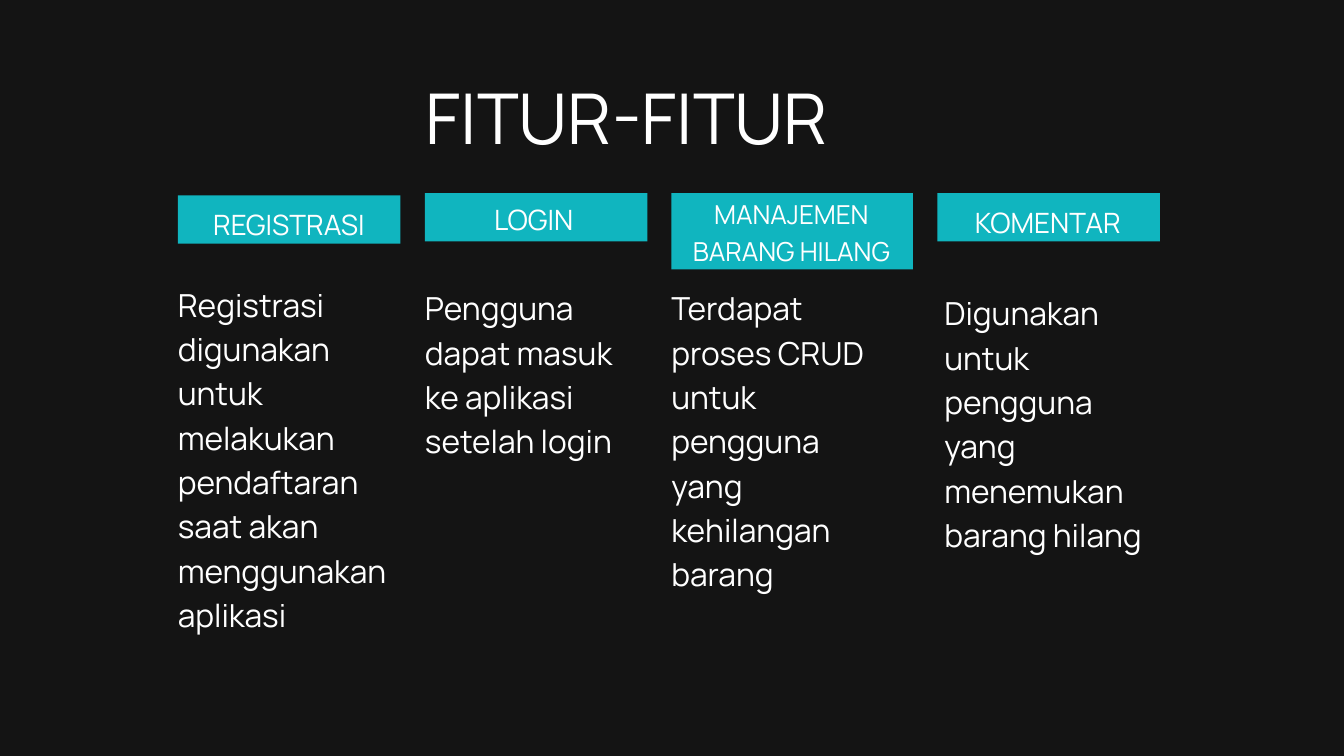
from dataclasses import dataclass

import pptx
import pptx.dml.color
import pptx.enum.shapes
import pptx.enum.text
import pptx.util

ALIGN = pptx.enum.text.PP_ALIGN


@dataclass(frozen=True)
class Theme:
    font: str = "Manrope"
    background: str = "141414"
    accent: str = "10B5BF"
    text: str = "FFFFFF"
    title: tuple = (75, 90)
    label: tuple = (30, 42)
    small_label: tuple = (28, 39.2)
    body: tuple = (34, 47.5)


def rgb(value):
    return pptx.dml.color.RGBColor.from_string(value)


class Deck:
    EMU_PER_PX = 9525

    def __init__(self, theme):
        self.theme = theme
        self.prs = pptx.Presentation()
        self.prs.slide_width, self.prs.slide_height = self.px(1920, 1080)

    def px(self, *lengths):
        return [pptx.util.Emu(n * self.EMU_PER_PX) for n in lengths]

    def slide(self):
        self.s = self.prs.slides.add_slide(self.prs.slide_layouts[6])
        fill = self.s.background.fill
        fill.solid()
        fill.fore_color.rgb = rgb(self.theme.background)

    def bar(self, box):
        kind = pptx.enum.shapes.MSO_SHAPE.RECTANGLE
        sp = self.s.shapes.add_shape(kind, *self.px(*box))
        sp.shadow.inherit = False
        sp.fill.solid()
        sp.fill.fore_color.rgb = rgb(self.theme.accent)
        sp.line.fill.background()

    def text(self, box, text, style, align=ALIGN.LEFT):
        size, leading = style
        tf = self.s.shapes.add_textbox(*self.px(*box)).text_frame
        tf.margin_left = tf.margin_right = tf.margin_top = tf.margin_bottom = 0
        tf.word_wrap = True
        tf.auto_size = pptx.enum.text.MSO_AUTO_SIZE.SHAPE_TO_FIT_TEXT
        tf.text = text
        p = tf.paragraphs[0]
        p.alignment = align
        p.line_spacing = pptx.util.Pt(leading)
        r = p.runs[0]
        r.font.name = self.theme.font
        r.font.size = pptx.util.Pt(size)
        r.font.color.rgb = rgb(self.theme.text)

    def feature(self, bar, label_box, label, label_style, body_box, body):
        self.bar(bar)
        self.text(label_box, label, label_style, ALIGN.CENTER)
        self.text(body_box, body, self.theme.body)


def main():
    theme = Theme()
    deck = Deck(theme)
    deck.slide()
    deck.text((608, 107, 708, 121), "FITUR-FITUR", theme.title)

    features = [
        ((254, 279, 318, 69), (286, 289, 254, 53), "REGISTRASI", theme.label,
         (254, 399, 317, 502),
         "Registrasi digunakan untuk melakukan pendaftaran saat akan menggunakan aplikasi"),
        ((607, 276, 318, 69), (691, 281, 143, 53), "LOGIN", theme.label,
         (607, 404, 317, 250),
         "Pengguna dapat masuk ke aplikasi setelah login"),
        ((959, 276, 345, 109), (975, 276, 311, 103), "MANAJEMEN BARANG HILANG", theme.small_label,
         (959, 404, 317, 439),
         "Terdapat proses CRUD untuk pengguna yang kehilangan barang"),
        ((1339, 276, 318, 69), (1381, 286, 232, 53), "KOMENTAR", theme.label,
         (1349, 411, 317, 439),
         "Digunakan untuk pengguna yang menemukan barang hilang"),
    ]
    for feature in features:
        deck.feature(*feature)

    deck.prs.save("out.pptx")


if __name__ == "__main__":
    main()
